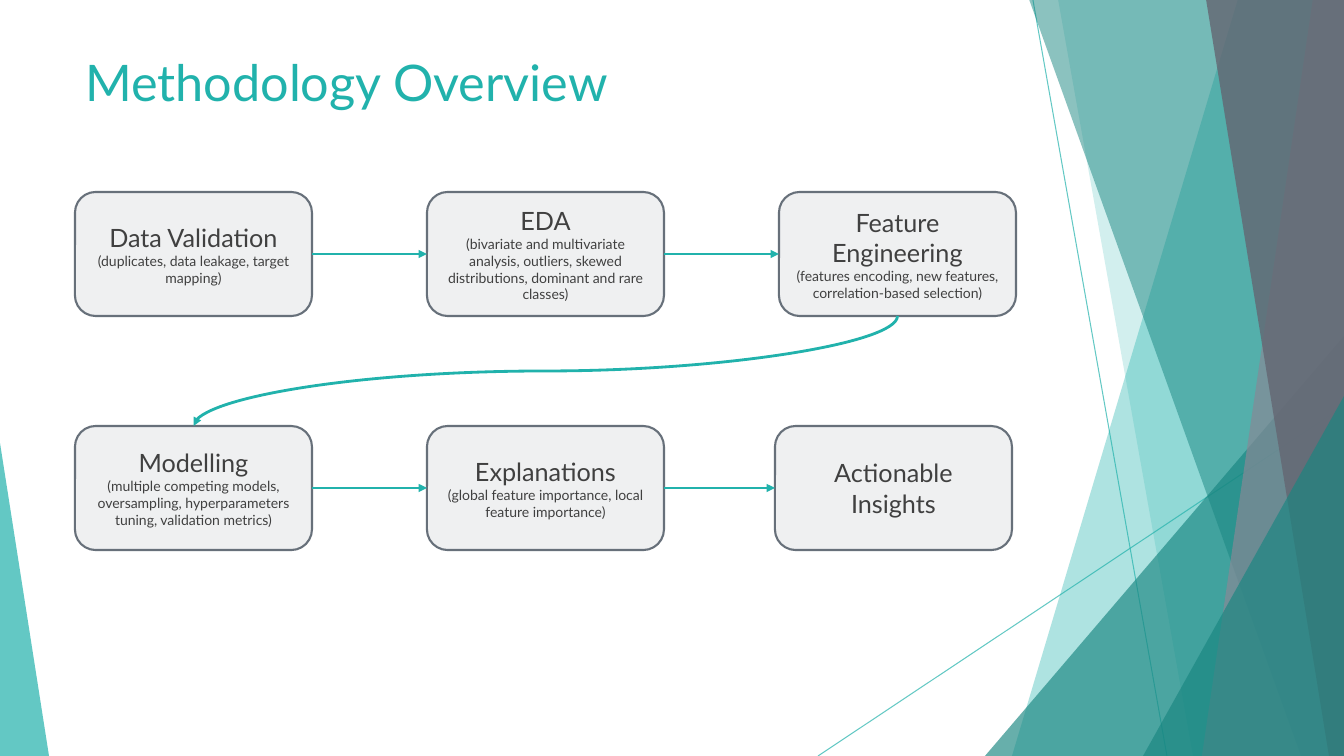
import pptx
import pptx.util
import pptx.dml.color
import pptx.enum.shapes
import pptx.enum.text
import pptx.oxml.ns
import lxml.etree

RGBColor = pptx.dml.color.RGBColor
SHAPE = pptx.enum.shapes.MSO_SHAPE
CONNECTOR = pptx.enum.shapes.MSO_CONNECTOR
ANCHOR = pptx.enum.text.MSO_ANCHOR
ALIGN = pptx.enum.text.PP_ALIGN
qn = pptx.oxml.ns.qn

TEAL = RGBColor(0x21, 0xB2, 0xAC)
DARK_TEAL = RGBColor(0x19, 0x86, 0x81)
GREY = RGBColor(0x87, 0x89, 0x96)
DARK_GREY = RGBColor(0x64, 0x66, 0x72)
SLATE = RGBColor(0x67, 0x70, 0x7A)
INK = RGBColor(0x40, 0x40, 0x40)
FONT = "Lato"

TITLE = "Methodology Overview"
STEPS = [
    ("Data Validation", "(duplicates, data leakage, target mapping)"),
    ("EDA", "(bivariate and multivariate analysis, outliers, skewed "
            "distributions, dominant and rare classes)"),
    ("Feature Engineering", "(features encoding, new features, correlation-based selection)"),
    ("Modelling", "(multiple competing models, oversampling, hyperparameters "
                  "tuning, validation metrics)"),
    ("Explanations", "(global feature importance, local feature importance)"),
    ("Actionable Insights", ""),
]
THIN_LINES = [(1033, 0, 1167, 756), (1344, 406, 818, 756)]
BANDS = [
    ([(1238, -1), (1344, -1), (1344, 756), (1012, 756)], TEAL, 36),
    ([(1058, -1), (1344, -1), (1344, 756), (1193, 756)], TEAL, 20),
    ((985, 336, 359, 420, 1), DARK_TEAL, 66),
    ([(1029, -1), (1344, -1), (1344, 756), (1301, 756)], DARK_TEAL, 50),
    ([(1313, -1), (1344, -1), (1344, 756), (1202, 756)], GREY, 70),
    ([(1206, -1), (1344, -1), (1344, 756), (1329, 756)], DARK_GREY, 80),
    ((1143, 396, 201, 360, 1), DARK_TEAL, 66),
    ((0, 443, 49, 313, 0), TEAL, 70),
]

SLIDE_W, SLIDE_H = 1344, 756
SCALE = 12192000 / SLIDE_W
COLUMNS = 3
BOX_W, BOX_H = 237, 124
LEFT, TOP = 75, 192
PITCH_X, PITCH_Y = 352, 234
LAST_SHIFT = -4


def px(*lengths):
    return [pptx.util.Emu(round(length * SCALE)) for length in lengths]


def paint(shape, color, opacity):
    shape.shadow.inherit = False
    shape.fill.solid()
    shape.fill.fore_color.rgb = color
    set_opacity(shape, "a:solidFill/a:srgbClr", opacity)


def set_opacity(shape, color_path, opacity):
    for color in shape.element.spPr.xpath(color_path):
        lxml.etree.SubElement(color, qn("a:alpha"), val=str(opacity * 1000))


def add_line(kind, ends, width):
    line = slide.shapes.add_connector(kind, *px(*ends))
    line.line.color.rgb = TEAL
    line.line.width = pptx.util.Pt(width)
    lxml.etree.SubElement(line.element.spPr, qn("a:effectLst"))
    return line


def add_band(outline, color, opacity):
    if isinstance(outline, list):
        builder = slide.shapes.build_freeform(*outline[0], scale=SCALE)
        builder.add_line_segments(outline[1:], close=True)
        band = builder.convert_to_shape()
    else:
        *frame, apex = outline
        band = slide.shapes.add_shape(SHAPE.ISOSCELES_TRIANGLE, *px(*frame))
        band.adjustments[0] = apex
    paint(band, color, opacity)
    band.line.fill.background()


def add_step(index, name, detail):
    row, column = divmod(index, COLUMNS)
    shift = LAST_SHIFT if index == len(STEPS) - 1 else 0
    step = slide.shapes.add_shape(SHAPE.ROUNDED_RECTANGLE, *px(
        LEFT + column * PITCH_X + shift, TOP + row * PITCH_Y, BOX_W, BOX_H))
    paint(step, SLATE, 10)
    step.line.color.rgb = SLATE
    step.line.width = pptx.util.Pt(1.5)
    frame = step.text_frame
    frame.word_wrap = True
    frame.vertical_anchor = ANCHOR.MIDDLE
    frame.text = f"{name}\n{detail}" if detail else name
    for paragraph, size in zip(frame.paragraphs, (18, 10)):
        paragraph.alignment = ALIGN.CENTER
        style(paragraph.font, size, INK)
    return step


def style(font, size, color):
    font.name = FONT
    font.size = pptx.util.Pt(size)
    font.color.rgb = color


def add_arrow(kind, source, source_side, target, target_side):
    arrow = add_line(kind, (0, 0, 0, 0), 2)
    arrow.begin_connect(source, source_side)
    arrow.end_connect(target, target_side)
    lxml.etree.SubElement(arrow.line._get_or_add_ln(), qn("a:tailEnd"), type="triangle")
    return arrow


def turn_upright(arrow):
    across, down = arrow.width, arrow.height
    middle_x, middle_y = arrow.left + across // 2, arrow.top + down // 2
    xfrm = arrow.element.spPr.find(qn("a:xfrm"))
    xfrm.attrib.clear()
    xfrm.set("rot", "5400000")
    arrow.left, arrow.top = middle_x - down // 2, middle_y - across // 2
    arrow.width, arrow.height = down, across


deck = pptx.Presentation()
deck.slide_width, deck.slide_height = px(SLIDE_W, SLIDE_H)
slide = deck.slides.add_slide(deck.slide_layouts.get_by_name("Title Only"))
for placeholder in list(slide.placeholders):
    if placeholder != slide.shapes.title:
        placeholder.element.getparent().remove(placeholder.element)

for ends in THIN_LINES:
    set_opacity(add_line(CONNECTOR.STRAIGHT, ends, 0.75), "a:ln/a:solidFill/a:srgbClr", 70)
for band in BANDS:
    add_band(*band)

title = slide.shapes.title
title.left, title.top, title.width, title.height = px(LEFT, 46, 941, 145)
title.text_frame.text = TITLE
title.text_frame.vertical_anchor = ANCHOR.TOP
heading = title.text_frame.paragraphs[0]
heading.alignment = ALIGN.LEFT
style(heading.font, 36, TEAL)

steps = [add_step(index, *step) for index, step in enumerate(STEPS)]
for index, (source, target) in enumerate(zip(steps, steps[1:]), 1):
    if index % COLUMNS:
        add_arrow(CONNECTOR.STRAIGHT, source, 3, target, 1)
    else:
        turn_upright(add_arrow(CONNECTOR.CURVE, source, 2, target, 0))

deck.save("out.pptx")
